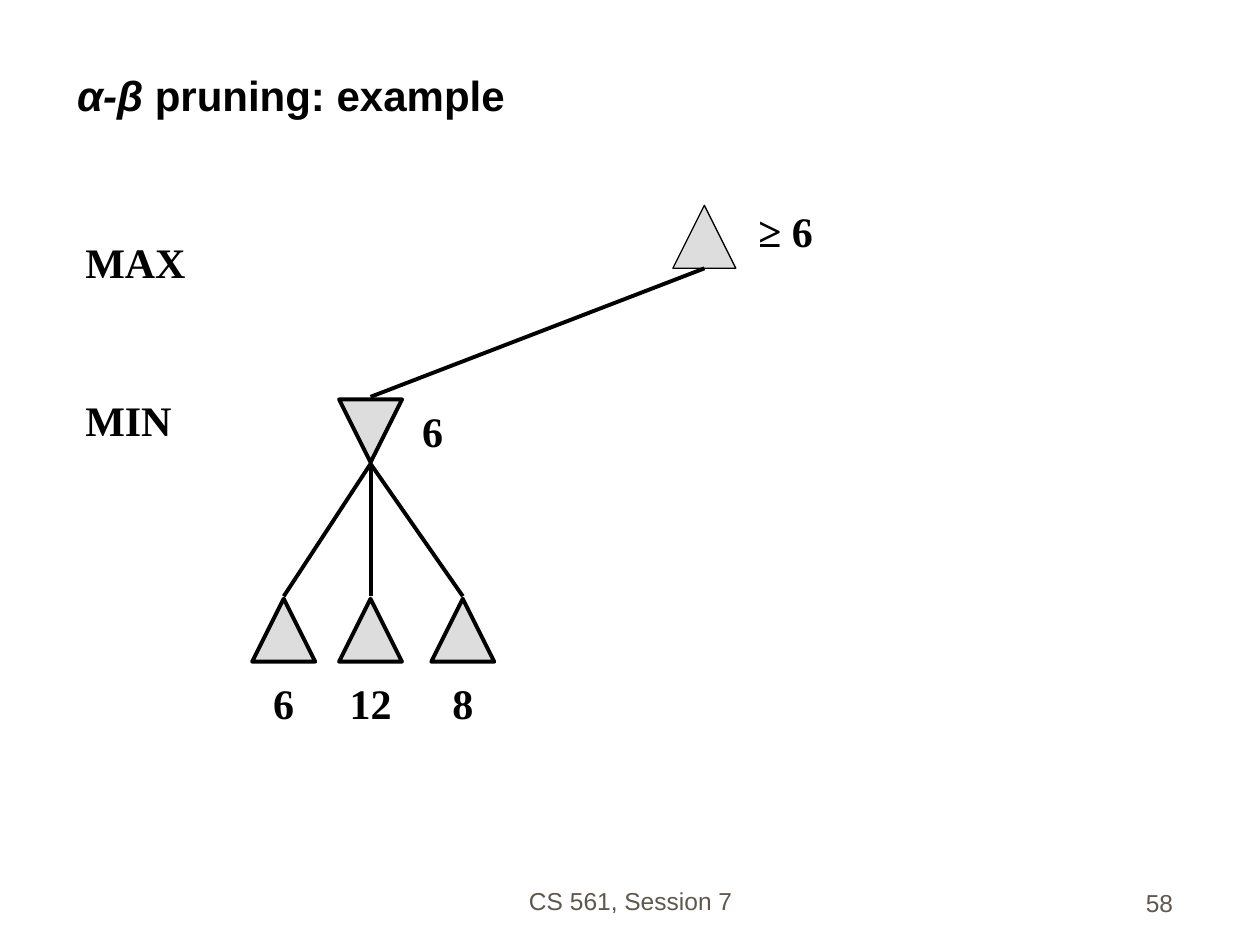
from pptx import Presentation
from pptx.dml.color import RGBColor
from pptx.enum.shapes import MSO_CONNECTOR, MSO_SHAPE
from pptx.enum.text import MSO_ANCHOR, MSO_AUTO_SIZE, PP_ALIGN
from pptx.oxml.ns import qn
from pptx.util import Cm, Pt

LINE = MSO_CONNECTOR.STRAIGHT
TRIANGLE = MSO_SHAPE.ISOSCELES_TRIANGLE
BOTTOM, TOP = MSO_ANCHOR.BOTTOM, MSO_ANCHOR.TOP
FIT = MSO_AUTO_SIZE.SHAPE_TO_FIT_TEXT
LEFT, CENTER, RIGHT = PP_ALIGN.LEFT, PP_ALIGN.CENTER, PP_ALIGN.RIGHT
SIDE = 1.27
BLACK, GREY, BROWN = "000000", "DDDDDD", "5E574E"


def color(code):
    """Turn a hex string into a colour."""
    return RGBColor.from_string(code)


def style(font, name, size, code, bold=False):
    """Set the look of a font."""
    font.name, font.size, font.bold = name, Pt(size), bold
    font.color.rgb = color(code)


def write(slide, text, left, top, width, align=LEFT):
    """Add an unwrapped bold label and return it."""
    box = slide.shapes.add_textbox(Cm(left), Cm(top), Cm(width), Cm(SIDE))
    frame = box.text_frame
    frame.text = text
    frame.word_wrap = False
    frame.auto_size = FIT
    frame.vertical_anchor = TOP
    para = frame.paragraphs[0]
    para.alignment = align
    style(para.runs[0].font, "Times New Roman", 24, BLACK, True)


def node(slide, mid, top, weight=2.25, turn=0):
    """Add a triangle centred on mid."""
    shape = slide.shapes.add_shape(
        TRIANGLE, Cm(mid - SIDE / 2), Cm(top), Cm(SIDE), Cm(SIDE))
    shape.shadow.inherit = False
    shape.rotation = turn
    shape.fill.solid()
    shape.fill.fore_color.rgb = color(GREY)
    shape.line.color.rgb = color(BLACK)
    shape.line.width = Pt(weight)


def edge(slide, start, end):
    """Draw a branch between two points."""
    line = slide.shapes.add_connector(LINE, *map(Cm, (*start, *end)))
    line.line.color.rgb = color(BLACK)
    line.line.width = Pt(2.25)
    props = line._element.spPr
    props.append(props.makeelement(qn("a:effectLst"), {}))


def branch(slide, left, top, leaves):
    """Draw a MIN node with its leaves and return its top point."""
    mid, base = left + 2.39, top + 4.02
    tip = (mid, top + 1.3)
    node(slide, mid, top, turn=180)
    write(slide, "6", left + 3.18, top, 0.94)
    for text, shift, width in leaves:
        spot = left + shift
        node(slide, spot, base)
        edge(slide, tip, (spot, base - 0.05))
        write(slide, text, spot - width / 2, base + 1.47, width, CENTER)
    return mid, top - 0.05


def tree(slide, left, top):
    """Draw the search tree with its row names."""
    root = left + 12.73
    node(slide, root, top + 2.31, 0.75)
    write(slide, "≥ 6", left + 13.57, top + 2.18, 1.6)
    write(slide, "MAX", left, top + 2.82, 2.54)
    write(slide, "MIN", left, top + 6, 2.26)
    leaves = [("6", 0.64, 0.94), ("12", 2.39, 1.35), ("8", 4.25, 0.94)]
    head = branch(slide, left + 3.61, top + 6.22, leaves)
    edge(slide, (root, top + 2.31 + SIDE), head)


def title(slide, left, top, width, height):
    """Fill and place the title."""
    shape = slide.shapes.title
    shape.left, shape.top = Cm(left), Cm(top)
    shape.width, shape.height = Cm(width), Cm(height)
    frame = shape.text_frame
    frame.vertical_anchor = BOTTOM
    para = frame.paragraphs[0]
    para.alignment = LEFT
    for text, slant in (("α-β", True), (" pruning: example", False)):
        run = para.add_run()
        run.text = text
        style(run.font, "Arial", 24, BLACK, True)
        run.font.italic = slant


def footer(slide, text, left, top, width, align):
    """Add one footer field."""
    box = slide.shapes.add_textbox(Cm(left), Cm(top), Cm(width), Cm(SIDE))
    frame = box.text_frame
    frame.text = text
    frame.word_wrap = True
    frame.vertical_anchor = BOTTOM
    para = frame.paragraphs[0]
    para.alignment = align
    style(para.runs[0].font, "Arial", 14, BROWN)


def main():
    """Build and save the slide."""
    deck = Presentation()
    deck.slide_width, deck.slide_height = Cm(25.4), Cm(19.05)
    slide = deck.slides.add_slide(deck.slide_layouts[5])
    title(slide, 1.3, 0.64, 22.66, 1.9)
    tree(slide, 1.47, 1.83)
    footer(slide, "CS 561, Session 7", 8.69, 17.3, 8.05, CENTER)
    footer(slide, "58", 18.62, 17.35, 5.28, RIGHT)
    deck.save("out.pptx")


if __name__ == "__main__":
    main()
